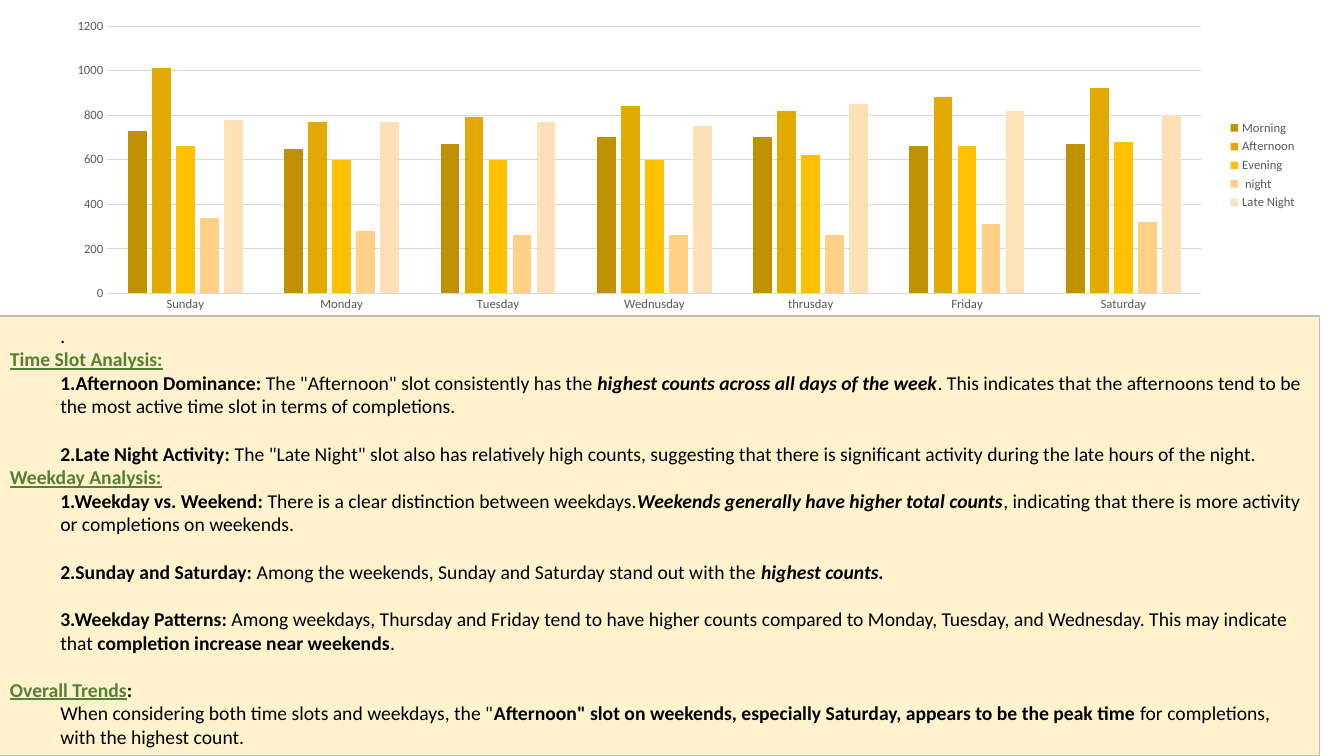
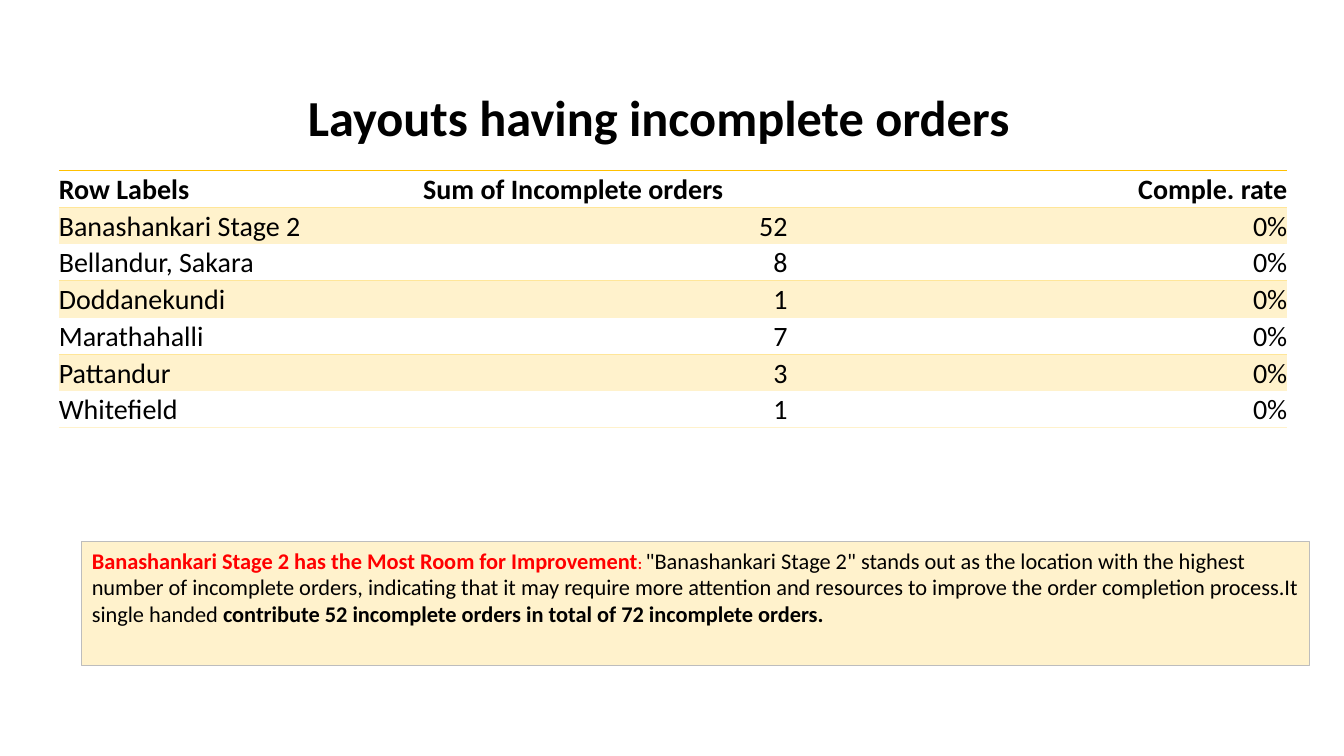
import pptx
import pptx.chart.data
import pptx.dml.color
import pptx.enum.chart
import pptx.enum.shapes
import pptx.enum.text
import pptx.oxml
import pptx.oxml.ns
import pptx.util

RGB = pptx.dml.color.RGBColor
Pt = pptx.util.Pt
ALIGN = pptx.enum.text.PP_ALIGN
ANCHOR = pptx.enum.text.MSO_ANCHOR

# Shared look
PX = 9525  # EMU per px, 96 px to the inch
FONT = "Calibri"
BLACK = RGB(0x00, 0x00, 0x00)
RED = RGB(0xFF, 0x00, 0x00)
GREEN = RGB(0x54, 0x82, 0x35)
GREY = RGB(0x59, 0x59, 0x59)
GRID = RGB(0xD9, 0xD9, 0xD9)
BOX_LINE = RGB(0xBD, 0xBD, 0xBD)
CREAM = RGB(0xFF, 0xF2, 0xCC)
SAND = RGB(0xFF, 0xE6, 0x99)
GOLD = RGB(0xFF, 0xC0, 0x00)
NO_TABLE_STYLE = "{2D5ABB26-0587-4C30-8999-92F81FD0307C}"

# Run styles
PLAIN = {}
BOLD = {"bold": True}
STRONG = {"bold": True, "italic": True}
HEADING = {"bold": True, "underline": True, "color": GREEN}
ALERT = {"bold": True, "color": RED}
ALERT_COLON = {"bold": True, "color": RED, "size": 11}

# Chart content
DAYS = ["Sunday", "Monday", "Tuesday", "Wednusday", "thrusday", "Friday", "Saturday"]
SLOTS = [
    ("Morning", RGB(0xC1, 0x92, 0x00), [730, 650, 670, 700, 700, 660, 670]),
    ("Afternoon", RGB(0xE2, 0xAA, 0x00), [1010, 770, 790, 840, 820, 880, 920]),
    ("Evening", GOLD, [660, 600, 600, 600, 620, 660, 680]),
    (" night", RGB(0xFF, 0xD1, 0x87), [340, 280, 260, 260, 260, 310, 320]),
    ("Late Night", RGB(0xFF, 0xE0, 0xB6), [780, 770, 770, 750, 850, 820, 800]),
]

# Analysis paragraphs: level, gap above in points, runs
GAP = 17
ANALYSIS = [
    (1, 0, [(".", PLAIN)]),
    (0, 0, [("Time Slot Analysis:", HEADING)]),
    (1, 0, [("1.Afternoon Dominance:", BOLD),
            (' The "Afternoon" slot consistently has the ', PLAIN),
            ("highest counts across all days of the week", STRONG),
            (". This indicates that the afternoons tend to be the most active "
             "time slot in terms of completions.", PLAIN)]),
    (1, GAP, [("2.Late Night Activity:", BOLD),
              (' The "Late Night" slot also has relatively high counts, suggesting that '
               "there is significant activity during the late hours of the night.", PLAIN)]),
    (0, 0, [("Weekday Analysis:", HEADING)]),
    (1, 0, [("1.Weekday vs. Weekend:", BOLD),
            (" There is a clear distinction between weekdays.", PLAIN),
            ("Weekends generally have higher total counts", STRONG),
            (", indicating that there is more activity or completions on weekends.", PLAIN)]),
    (1, GAP, [("2.Sunday and Saturday:", BOLD),
              (" Among the weekends, Sunday and Saturday stand out with the ", PLAIN),
              ("highest counts.", STRONG)]),
    (1, GAP, [("3.Weekday Patterns:", BOLD),
              (" Among weekdays, Thursday and Friday tend to have higher counts compared to "
               "Monday, Tuesday, and Wednesday. This may indicate that ", PLAIN),
              ("completion increase near weekends", BOLD), (".", PLAIN)]),
    (0, GAP, [("Overall Trends", HEADING), (":", BOLD)]),
    (1, 0, [('When considering both time slots and weekdays, the "', PLAIN),
            ('Afternoon" slot on weekends, especially Saturday, appears to be the peak time ', BOLD),
            ("for completions, with the highest count.", PLAIN)]),
]

# Table content
HEADER = ("Row Labels", "Sum of Incomplete orders", "Comple. rate")
ORDERS = [("Banashankari Stage 2", 52), ("Bellandur, Sakara", 8), ("Doddanekundi", 1),
          ("Marathahalli", 7), ("Pattandur", 3), ("Whitefield", 1)]
COLUMN_WIDTHS = (347, 347, 476)
ROW_HEIGHT = 35

FINDING = [(0, 0, [
    ("Banashankari Stage 2 has the Most Room for Improvement", ALERT),
    (": ", ALERT_COLON),
    ('"Banashankari Stage 2" stands out as the location with the highest number of incomplete '
     "orders, indicating that it may require more attention and resources to improve the order "
     "completion process.It single handed ", PLAIN),
    ("contribute 52 incomplete orders in total of 72 incomplete orders.", BOLD),
])]


def px(*lengths):
    return [n * PX for n in lengths]


def set_font(font, size, color=BLACK, bold=False, italic=False, underline=False):
    font.name, font.size = FONT, Pt(size)
    font.bold, font.italic, font.underline = bold, italic, underline
    font.color.rgb = color


def add_note_box(s, box, paragraphs, size, anchor):
    """Cream box holding paragraphs of mixed runs."""
    sp = s.shapes.add_shape(pptx.enum.shapes.MSO_SHAPE.RECTANGLE, *px(*box))
    sp.shadow.inherit = False
    sp.fill.solid()
    sp.fill.fore_color.rgb = CREAM
    sp.line.color.rgb = BOX_LINE
    sp.line.width = Pt(0.75)
    tf = sp.text_frame
    tf.word_wrap = True
    tf.vertical_anchor = anchor
    for i, (level, gap, runs) in enumerate(paragraphs):
        p = tf.add_paragraph() if i else tf.paragraphs[0]
        p.alignment = ALIGN.LEFT
        p.level = level
        p.space_before = Pt(gap)
        pPr = p._p.get_or_add_pPr()
        pPr.set("marL", str(level * 48 * PX))
        pPr.set("indent", "0")
        for text, style in runs:
            r = p.add_run()
            r.text = text
            set_font(r.font, **{"size": size, **style})


def add_slot_chart(s, box):
    """Clustered columns, one series for each time slot."""
    data = pptx.chart.data.CategoryChartData()
    data.categories = DAYS
    for name, _, values in SLOTS:
        data.add_series(name, values)
    kind = pptx.enum.chart.XL_CHART_TYPE.COLUMN_CLUSTERED
    chart = s.shapes.add_chart(kind, *px(*box), data).chart
    set_font(chart.font, 10)
    chart.has_title = False
    chart.has_legend = True
    chart.legend.position = pptx.enum.chart.XL_LEGEND_POSITION.RIGHT
    chart.legend.include_in_layout = False
    set_font(chart.legend.font, 9, GREY)

    plot = chart.plots[0]
    plot.vary_by_categories = False
    plot.gap_width, plot.overlap = 219, -27
    for series, (_, color, _) in zip(plot.series, SLOTS):
        series.format.fill.solid()
        series.format.fill.fore_color.rgb = color

    days, counts = chart.category_axis, chart.value_axis
    for axis in (days, counts):
        axis.major_tick_mark = axis.minor_tick_mark = pptx.enum.chart.XL_TICK_MARK.NONE
        set_font(axis.tick_labels.font, 9, GREY)
    counts.minimum_scale, counts.maximum_scale, counts.major_unit = 0, 1200, 200
    counts.format.line.fill.background()
    for line in (days.format.line, counts.major_gridlines.format.line):
        line.color.rgb = GRID
        line.width = Pt(0.75)


def set_border(cell, side, color):
    """Half-point edge; elements go in before the cell's fill."""
    ln = pptx.oxml.parse_xml(
        f'<a:{side} {pptx.oxml.ns.nsdecls("a")} w="6350"><a:solidFill>'
        f'<a:srgbClr val="{color}"/></a:solidFill></a:{side}>')
    tcPr = cell._tc.get_or_add_tcPr()
    tcPr.insert(0 if side == "lnT" else len(tcPr.findall(pptx.oxml.ns.qn("a:lnT"))), ln)


def add_order_table(s, left, top):
    """Header, banded rows and an empty closing row."""
    rows = [HEADER] + [(place, str(n), "0%") for place, n in ORDERS] + [("", "", "")]
    last = len(rows) - 1
    frame = s.shapes.add_table(len(rows), len(HEADER),
                               *px(left, top, sum(COLUMN_WIDTHS), ROW_HEIGHT * len(rows)))
    table = frame.table
    table.first_row = table.horz_banding = False
    table._tbl.tblPr.find(pptx.oxml.ns.qn("a:tableStyleId")).text = NO_TABLE_STYLE
    for column, width in zip(table.columns, COLUMN_WIDTHS):
        column.width = width * PX
    for i, texts in enumerate(rows):
        table.rows[i].height = ROW_HEIGHT * PX
        for j, text in enumerate(texts):
            cell = table.cell(i, j)
            cell.margin_left = cell.margin_right = cell.margin_top = cell.margin_bottom = 0
            cell.vertical_anchor = ANCHOR.BOTTOM
            if i % 2 and i < last:
                cell.fill.solid()
                cell.fill.fore_color.rgb = CREAM
            else:
                cell.fill.background()
            if i % 2 == 0:
                set_border(cell, "lnT", CREAM if i else GOLD)
                if i < last - 1:
                    set_border(cell, "lnB", SAND)
            if text:
                p = cell.text_frame.paragraphs[0]
                p.text = text
                p.alignment = ALIGN.RIGHT if j == 2 or (i and j) else ALIGN.LEFT
                set_font(p.runs[0].font, 20, bold=i == 0)


def set_title(s, text, box):
    title = s.shapes.title
    title.left, title.top, title.width, title.height = px(*box)
    title.text_frame.text = text
    p = title.text_frame.paragraphs[0]
    p.alignment = ALIGN.CENTER
    set_font(p.runs[0].font, 36, bold=True)


def main():
    prs = pptx.Presentation()
    prs.slide_width, prs.slide_height = px(1280, 720)

    # Completions by day and time slot
    s = prs.slides.add_slide(prs.slide_layouts[6])
    add_slot_chart(s, (50, 12, 1195, 291))
    add_note_box(s, (0, 301, 1257, 419), ANALYSIS, 14, ANCHOR.MIDDLE)

    # Incomplete orders by layout
    s = prs.slides.add_slide(prs.slide_layouts[5])
    add_order_table(s, 56, 162)
    set_title(s, "Layouts having incomplete orders ", (56, 77, 1154, 68))
    add_note_box(s, (78, 516, 1169, 118), FINDING, 16, ANCHOR.TOP)

    prs.save("out.pptx")


if __name__ == "__main__":
    main()
